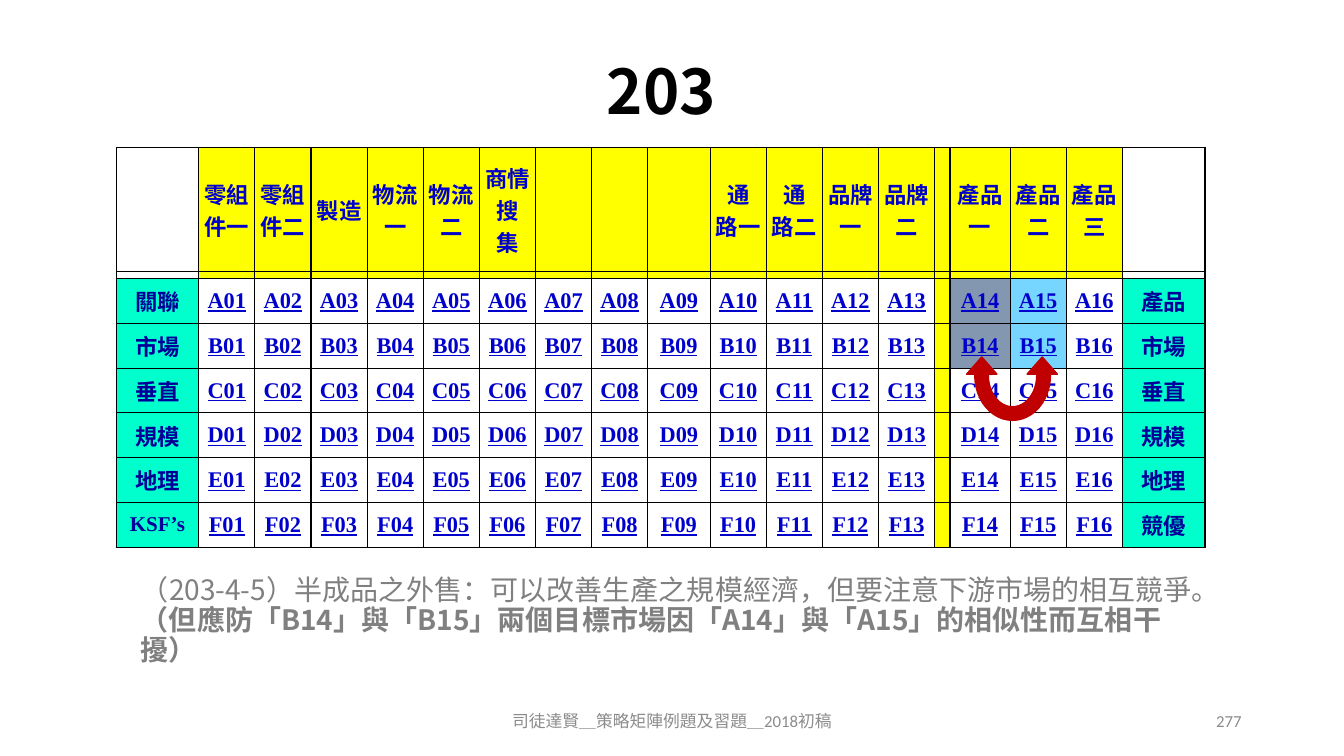
"""Build the 203 strategy matrix slide."""
import dataclasses

import lxml.etree
import pptx
import pptx.dml.color
import pptx.enum.shapes
import pptx.enum.text
import pptx.oxml.ns
import pptx.util

Pt = pptx.util.Pt
Align = pptx.enum.text.PP_ALIGN
Anchor = pptx.enum.text.MSO_ANCHOR
Shape = pptx.enum.shapes.MSO_SHAPE


@dataclasses.dataclass(frozen=True)
class Theme:
    black: str = "000000"
    yellow: str = "FFFF00"
    mint: str = "00FFCC"
    slate: str = "8497B0"
    sky: str = "76D6FF"
    red: str = "C00000"
    blue: str = "0000CC"
    navy: str = "000099"
    gray: str = "808080"
    pale: str = "8C8C8C"
    sans: str = "Calibri"
    serif: str = "Times New Roman"
    asian: str = "Noto Sans CJK SC"
    title: int = 44
    note: int = 20
    cell: int = 16
    ksf: int = 15
    foot: int = 12
    tiny: int = 1


def color(code):
    return pptx.dml.color.RGBColor.from_string(code)


class Deck:
    def __init__(self, theme):
        self.theme = theme
        self.file = pptx.Presentation()
        self.file.slide_width, self.file.slide_height = Pt(960), Pt(540)
        self.slide = self.file.slides.add_slide(self.file.slide_layouts[5])

    def style(self, para, size, face, ink, align, bold=False, under=False):
        para.alignment = align
        font = para.font
        font.size, font.name, font.bold = Pt(size), face, bold
        font.underline = under
        font.color.rgb = color(ink)
        props = para._p.pPr.find(pptx.oxml.ns.qn("a:defRPr"))
        lxml.etree.SubElement(props, pptx.oxml.ns.qn("a:ea"), typeface=self.theme.asian)

    def title(self, text, left, top, width, height):
        shape = self.slide.shapes.title
        shape.left, shape.top = Pt(left), Pt(top)
        shape.width, shape.height = Pt(width), Pt(height)
        shape.text_frame.text = text
        shape.text_frame.vertical_anchor = Anchor.MIDDLE
        para = shape.text_frame.paragraphs[0]
        para.line_spacing = 0.9
        theme = self.theme
        self.style(para, theme.title, theme.asian, theme.black, Align.CENTER, True)

    def text(self, parts, box, size, face, ink, align, anchor, space=1):
        shape = self.slide.shapes.add_textbox(*map(Pt, box))
        frame = shape.text_frame
        frame.word_wrap = True
        frame.vertical_anchor = anchor
        para = frame.paragraphs[0]
        para.line_spacing = space
        self.style(para, size, face, ink, align)
        for words, bold in parts:
            run = para.add_run()
            run.text = words
            if bold:
                run.font.bold = True

    def table(self, left, top, cols, rows):
        shape = self.slide.shapes.add_table(
            len(rows), len(cols), Pt(left), Pt(top), Pt(sum(cols)), Pt(sum(rows)))
        grid = shape.table
        grid.first_row = grid.horz_banding = False
        for col, width in zip(grid.columns, cols):
            col.width = Pt(width)
        for row, height in zip(grid.rows, rows):
            row.height = Pt(height)
        return grid

    def border(self, cell):
        props = cell._tc.get_or_add_tcPr()
        tag = pptx.oxml.ns.qn
        for side in "LRTB":
            line = lxml.etree.SubElement(props, tag(f"a:ln{side}"), w=str(Pt(1)))
            fill = lxml.etree.SubElement(line, tag("a:solidFill"))
            lxml.etree.SubElement(fill, tag("a:srgbClr"), val=self.theme.black)

    def cell(self, cell, text, fill, size, face, ink, under):
        self.border(cell)
        if fill:
            cell.fill.solid()
            cell.fill.fore_color.rgb = color(fill)
        else:
            cell.fill.background()
        cell.margin_left = cell.margin_right = Pt(3.6)
        cell.margin_top = cell.margin_bottom = 0
        cell.vertical_anchor = Anchor.MIDDLE
        cell.text = text
        self.style(cell.text_frame.paragraphs[0], size, face, ink, Align.CENTER, True, under)

    def group(self):
        return self.slide.shapes.add_group_shape()

    def shape(self, group, kind, box, fill, turn=0, adjust=()):
        shape = group.shapes.add_shape(kind, *map(Pt, box))
        shape.shadow.inherit = False
        shape.rotation = turn
        for spot, value in enumerate(adjust):
            shape.adjustments[spot] = value
        shape.fill.solid()
        shape.fill.fore_color.rgb = shape.line.color.rgb = color(fill)
        shape.line.width = Pt(1)

    def save(self):
        self.file.save("out.pptx")


def matrix(deck):
    theme = deck.theme
    heads = ["", "零組件一", "零組件二", "製造", "物流一", "物流二", "商情\v搜\v集",
             "", "", "", "通\v路一", "通\v路二", "品牌一", "品牌二", "",
             "產品一", "產品二", "產品三", ""]
    lefts = ["關聯", "市場", "垂直", "規模", "地理", "KSF’s"]
    rights = ["產品", *lefts[1:5], "競優"]
    gap, last = 14, len(heads) - 1
    cols = [59, *[40.1] * 8, 44.6, *[40.1] * 4, 11, 43, 40.1, 40.1, 59]
    grid = deck.table(83, 105.5, cols, [88.5, 5, *[32] * 6])
    marks = {15: theme.slate, 16: theme.sky}
    for x, head in enumerate(heads):
        edge = x in (0, last)
        fill = None if edge else theme.yellow
        size = theme.cell if head else theme.tiny
        deck.cell(grid.cell(0, x), head, fill, size, theme.sans, theme.blue, False)
        deck.cell(grid.cell(1, x), "", fill, theme.tiny, theme.sans, theme.blue, False)
        for y, letter in enumerate("ABCDEF"):
            cell = grid.cell(y + 2, x)
            if edge:
                text = rights[y] if x else lefts[y]
                latin = text == "KSF’s"
                deck.cell(cell, text, theme.mint, theme.ksf if latin else theme.cell,
                          theme.serif if latin else theme.sans, theme.navy, False)
            elif x == gap:
                deck.cell(cell, "", theme.yellow, theme.tiny, theme.sans, theme.blue, False)
            else:
                fill = marks.get(x) if y < 2 else None
                text = f"{letter}{x - (x > gap):02}"
                deck.cell(cell, text, fill, theme.cell, theme.serif, theme.blue, True)


def main():
    theme = Theme()
    deck = Deck(theme)
    deck.title("203", 66, 28.75, 813, 77)
    matrix(deck)
    deck.text([("（203-4-5）半成品之外售：可以改善生產之規模經濟，但要注意下游市場的相互競爭。", False),
               ("（但應防「B14」與「B15」兩個目標市場因「A14」與「A15」的相似性而互相干擾）", True)],
              (93.6, 408, 768, 51), theme.note, theme.asian, theme.gray,
              Align.LEFT, Anchor.TOP, 0.9)
    arrow = deck.group()
    deck.shape(arrow, Shape.BLOCK_ARC, (696.25, 236.25, 54, 64), theme.red, 180,
               (102.82, 6.15, 0.18))
    for left in (733.7, 690.5):
        deck.shape(arrow, Shape.ISOSCELES_TRIANGLE, (left, 255, 21.6, 12.25), theme.red)
    for words, left, width, align in (
            ("司徒達賢＿策略矩陣例題及習題＿2018初稿", 318, 324, Align.CENTER),
            ("277", 678, 216, Align.RIGHT)):
        deck.text([(words, False)], (left, 500.5, width, 28.75), theme.foot,
                  theme.sans, theme.pale, align, Anchor.MIDDLE)
    deck.save()


if __name__ == "__main__":
    main()
